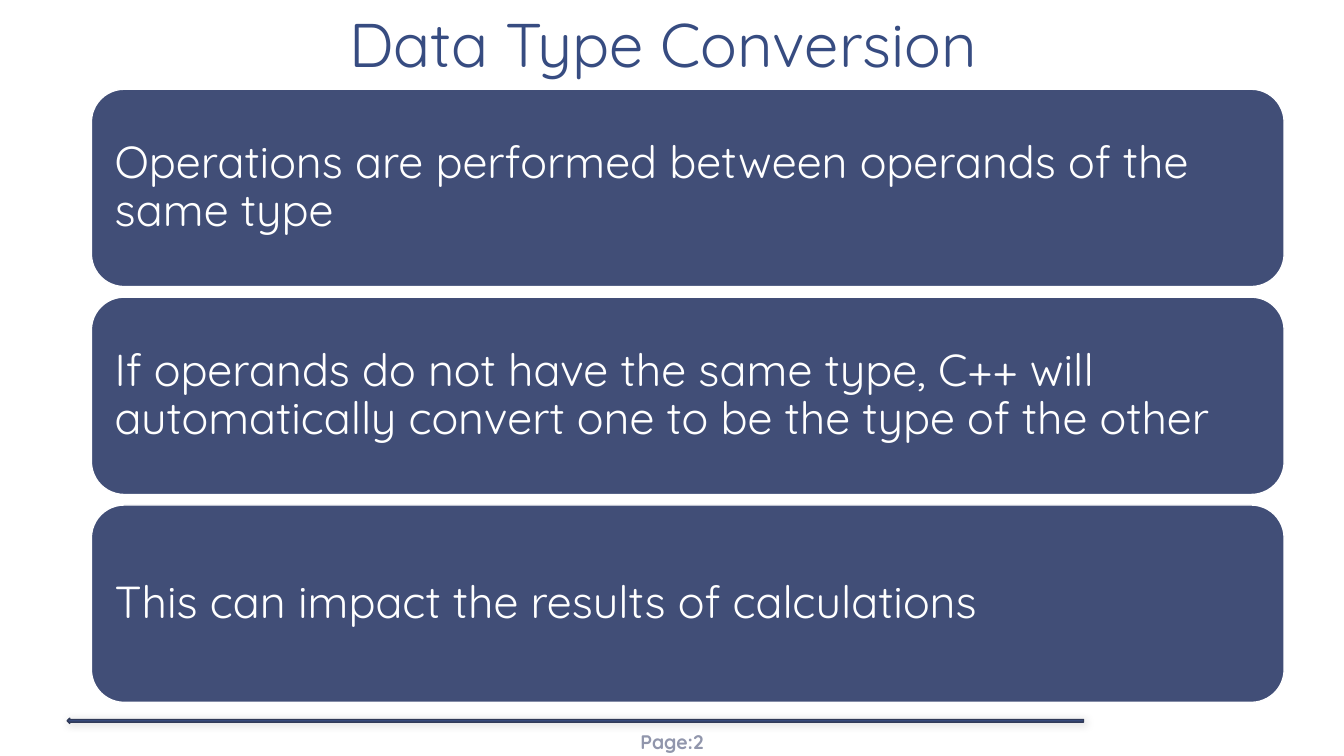
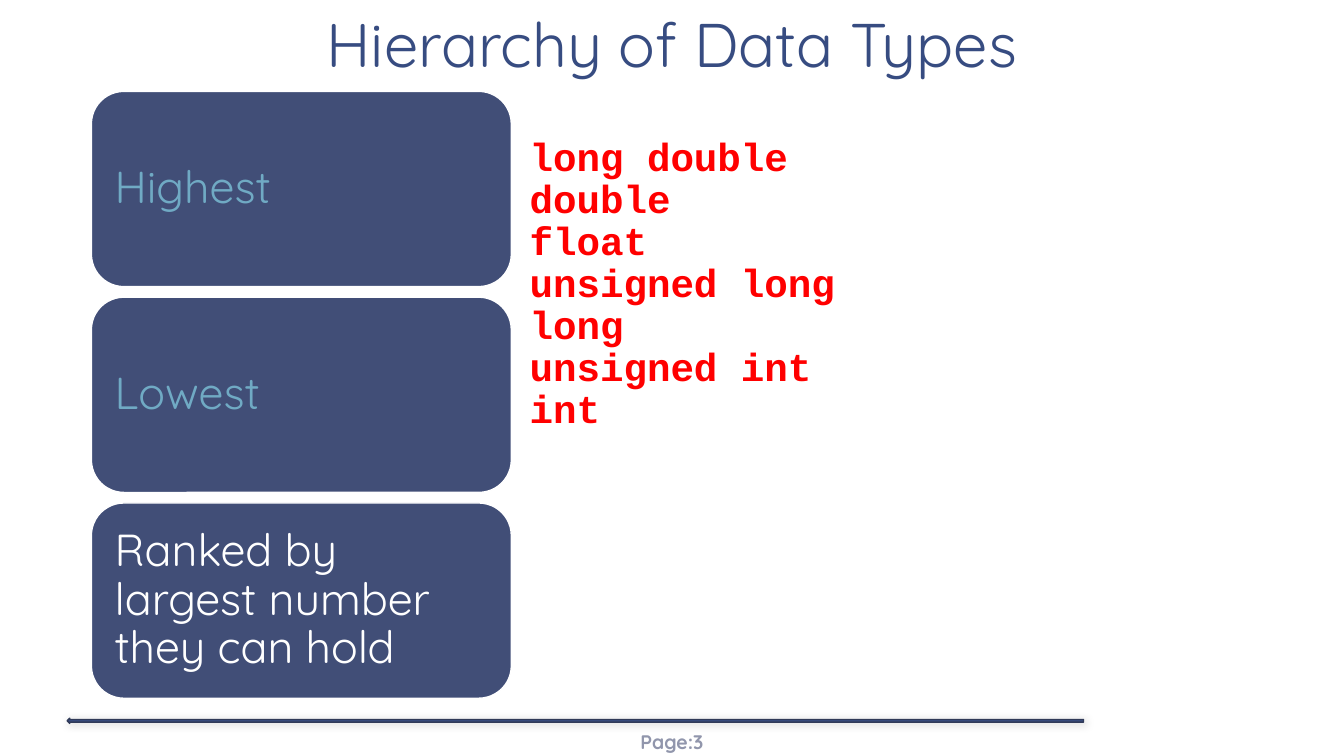
from lxml.etree import SubElement
from pptx import Presentation
from pptx.dml.color import RGBColor
from pptx.enum.shapes import MSO_SHAPE
from pptx.enum.text import MSO_ANCHOR, MSO_AUTO_SIZE, PP_ALIGN
from pptx.oxml.ns import qn
from pptx.util import Emu, Pt

EMU_PER_PX = 9525
SLIDE_WIDTH, SLIDE_HEIGHT = 1280, 720
TITLE_ONLY_LAYOUT = 5
CARD_GAP = 10
FONT = "Quicksand"
CODE_FONT = "Courier New"
COLORS = {
    "title": "374C81",
    "card": "414E77",
    "card_text": "FFFFFF",
    "card_accent": "70AAC4",
    "card_line": "FFFFFF",
    "rule": "374C81",
    "rule_line": "303A58",
    "page": "9196AC",
    "code": "FF0000",
    "shadow": "000000",
}


def px(length):
    return Emu(length * EMU_PER_PX)


def color(name):
    return RGBColor.from_string(COLORS[name])


def set_margins(text_frame, horizontal, vertical):
    text_frame.margin_left = text_frame.margin_right = px(horizontal)
    text_frame.margin_top = text_frame.margin_bottom = px(vertical)


def format_text(text_frame, size, color_name, font=FONT, bold=False,
                align=PP_ALIGN.LEFT, spacing=None):
    text_frame.word_wrap = True
    for paragraph in text_frame.paragraphs:
        paragraph.alignment = align
        paragraph.line_spacing = spacing
        for run in paragraph.runs:
            run.font.name = font
            run.font.size = Pt(size)
            run.font.bold = bold
            run.font.color.rgb = color(color_name)


def add_filled_shape(slide, kind, box, fill, line):
    shape = slide.shapes.add_shape(kind, *map(px, box))
    shape.shadow.inherit = False
    shape.fill.solid()
    shape.fill.fore_color.rgb = color(fill)
    shape.line.color.rgb = color(line)
    shape.line.width = Pt(1)
    return shape


def add_soft_shadow(shape):
    effects = shape.element.spPr.find(qn("a:effectLst"))
    shadow = SubElement(effects, qn("a:outerShdw"), blurRad=str(Pt(6)),
                        dist=str(Pt(1)), dir="2700000", rotWithShape="0")
    shadow_color = SubElement(shadow, qn("a:srgbClr"), val=COLORS["shadow"])
    SubElement(shadow_color, qn("a:alpha"), val="20000")


def add_title(slide, text):
    title = slide.shapes.title
    title.left, title.top, title.width, title.height = map(
        px, (0, 0, SLIDE_WIDTH, 83))
    text_frame = title.text_frame
    text_frame.text = text
    text_frame.auto_size = MSO_AUTO_SIZE.NONE
    text_frame.vertical_anchor = MSO_ANCHOR.BOTTOM
    set_margins(text_frame, 12, 7)
    format_text(text_frame, 44, "title", align=PP_ALIGN.CENTER, spacing=0.85)


def add_footer(slide, page):
    rule = add_filled_shape(slide, MSO_SHAPE.LEFT_ARROW, (64, 684, 968, 5),
                            "rule", "rule_line")
    add_soft_shadow(rule)
    text_frame = slide.shapes.add_textbox(
        *map(px, (555, 687, 170, 38))).text_frame
    text_frame.text = f"Page:{page}"
    text_frame.vertical_anchor = MSO_ANCHOR.MIDDLE
    set_margins(text_frame, 4, 2)
    format_text(text_frame, 14, "page", bold=True, align=PP_ALIGN.CENTER)


def add_cards(slide, box, cards):
    """Stack equal cards, given as (text, color name), to fill the box."""
    left, top, width, height = box
    card_height = (height - CARD_GAP * (len(cards) - 1)) // len(cards)
    for index, (text, color_name) in enumerate(cards):
        card_top = top + index * (card_height + CARD_GAP)
        card = add_filled_shape(slide, MSO_SHAPE.ROUNDED_RECTANGLE,
                                (left, card_top, width, card_height),
                                "card", "card_line")
        text_frame = card.text_frame
        text_frame.text = text
        text_frame.vertical_anchor = MSO_ANCHOR.MIDDLE
        set_margins(text_frame, 13, 13)
        format_text(text_frame, 32, color_name, spacing=0.9)


def add_code_list(slide, box, lines):
    text_frame = slide.shapes.add_textbox(*map(px, box)).text_frame
    text_frame.text = "\n".join(lines)
    format_text(text_frame, 28, "code", font=CODE_FONT, bold=True,
                spacing=Pt(30))


def add_titled_slide(presentation, title, page):
    layout = presentation.slide_layouts[TITLE_ONLY_LAYOUT]
    slide = presentation.slides.add_slide(layout)
    add_title(slide, title)
    add_footer(slide, page)
    return slide


def add_conversion_slide(presentation):
    slide = add_titled_slide(presentation, "Data Type Conversion ", 2)
    add_cards(slide, (87, 85, 1136, 584), [
        ("Operations are performed between operands of the same type",
         "card_text"),
        ("If operands do not have the same type, C++ will automatically "
         "convert one to be the type of the other", "card_text"),
        ("This can impact the results of calculations", "card_text"),
    ])


def add_hierarchy_slide(presentation):
    slide = add_titled_slide(presentation, "Hierarchy of Data Types", 3)
    add_cards(slide, (87, 87, 400, 578), [
        ("Highest", "card_accent"),
        ("Lowest", "card_accent"),
        ("Ranked by largest number they can hold", "card_text"),
    ])
    add_code_list(slide, (495, 126, 423, 293), [
        "long double", "double", "float", "unsigned long", "long",
        "unsigned int", "int",
    ])


def main():
    presentation = Presentation()
    presentation.slide_width = px(SLIDE_WIDTH)
    presentation.slide_height = px(SLIDE_HEIGHT)
    add_conversion_slide(presentation)
    add_hierarchy_slide(presentation)
    presentation.save("out.pptx")


if __name__ == "__main__":
    main()
